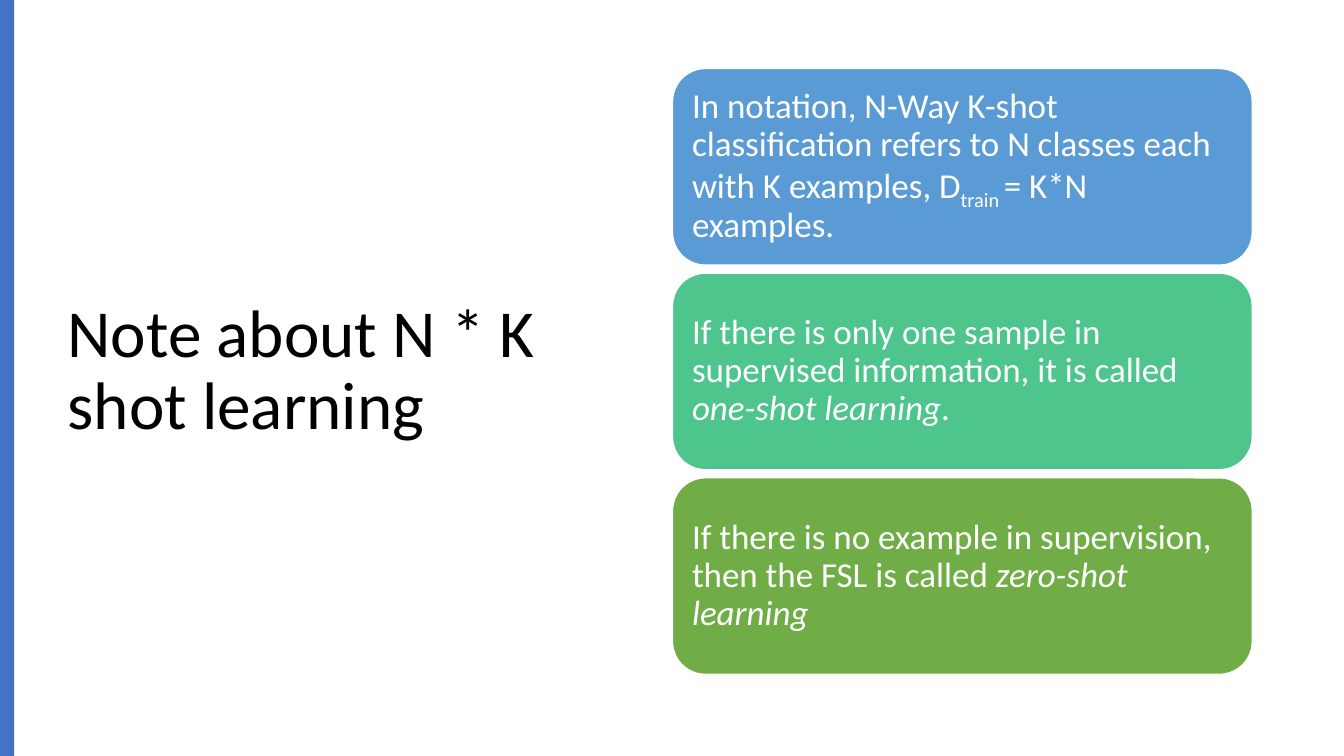
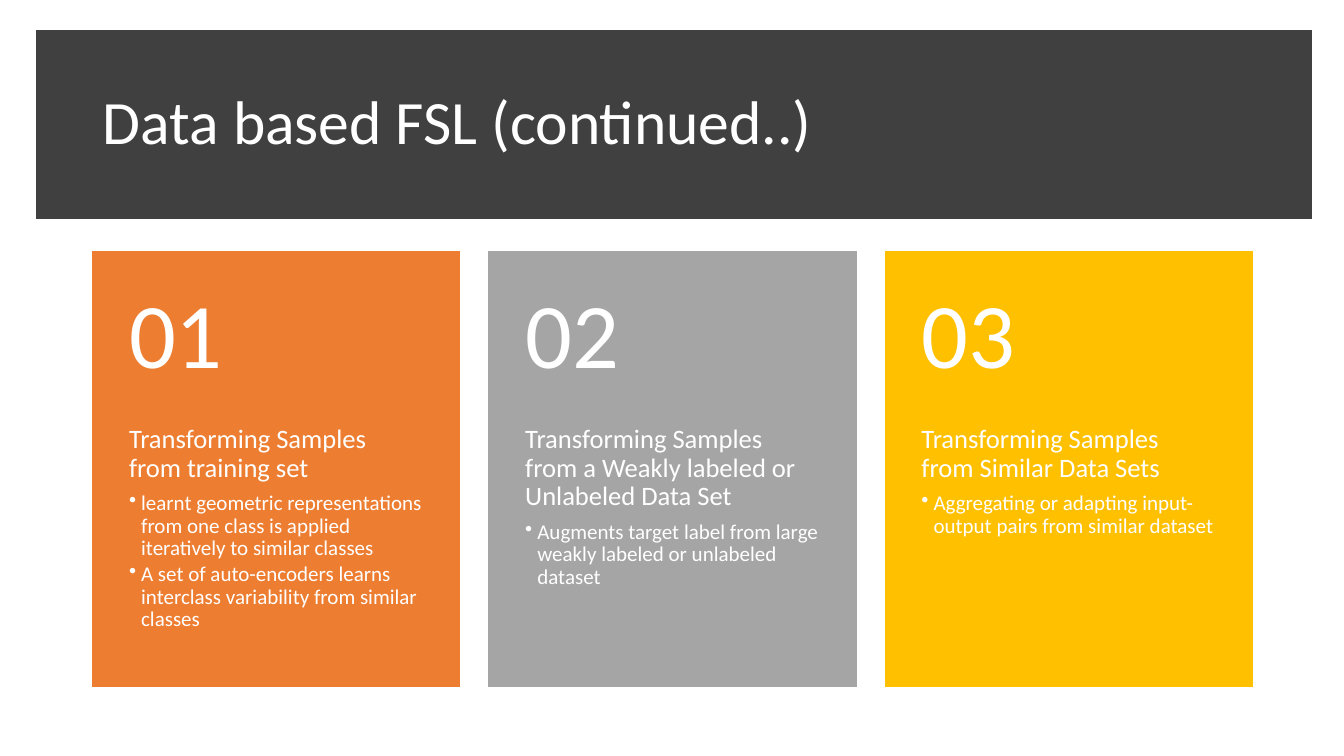
from lxml.etree import SubElement
from pptx import Presentation
from pptx.dml.color import RGBColor
from pptx.enum.shapes import MSO_SHAPE
from pptx.enum.text import MSO_ANCHOR, MSO_AUTO_SIZE, PP_ALIGN
from pptx.oxml.ns import qn
from pptx.util import Emu, Pt

PX = 9144  # 100 px to the inch
SLIDE_W, SLIDE_H = 1333, 750
FONT = "Calibri"
COLORS = {
    "white": "FFFFFF", "black": "000000", "bar": "4472C4", "band": "404040",
    "blue": "5B9BD5", "mint": "4DC58D", "green": "70AD47",
    "orange": "ED7D31", "gray": "A5A5A5", "gold": "FFC000",
}
ITALIC = {"italic": True}
SUBSCRIPT = {"baseline": -25000}

NOTES = [
    ("blue", [("In notation, N-Way K-shot classification refers to N classes "
               "each with K examples, D", {}),
              ("train ", SUBSCRIPT), ("= K*N examples.", {})]),
    ("mint", [("If there is only one sample in supervised information, "
               "it is called ", {}),
              ("one-shot learning", ITALIC), (".", {})]),
    ("green", [("If there is no example in supervision, then the FSL is called ", {}),
               ("zero-shot learning", ITALIC)]),
]
METHODS = [
    ("orange", "Transforming Samples from training set",
     ["learnt geometric representations from one class is applied "
      "iteratively to similar classes",
      "A set of auto-encoders learns interclass variability from similar classes"]),
    ("gray", "Transforming Samples from a Weakly labeled or Unlabeled Data Set",
     ["Augments target label from large weakly labeled or unlabeled dataset"]),
    ("gold", "Transforming Samples from Similar Data Sets",
     ["Aggregating or adapting input-output pairs from similar dataset"]),
]


def px(n):
    return Emu(n * PX)


def rgb(name):
    return RGBColor.from_string(COLORS[name])


def set_attrs(obj, values):
    for name, value in values.items():
        setattr(obj, name, value)


def setup_frame(tf, anchor, insets=(10, 5, 10, 5)):
    left, top, right, bottom = map(px, insets)
    set_attrs(tf, {
        "word_wrap": True, "auto_size": MSO_AUTO_SIZE.NONE,
        "vertical_anchor": anchor, "margin_left": left, "margin_top": top,
        "margin_right": right, "margin_bottom": bottom,
    })


def write(p, runs, size, color="white", after=0.0):
    """Fill a paragraph with (text, format) runs; after is a share of the size."""
    set_attrs(p, {"alignment": PP_ALIGN.LEFT, "line_spacing": 0.9,
                  "space_after": Pt(size * after)})
    for text, fmt in runs:
        r = p.add_run()
        r.text = text
        set_attrs(r.font, {"name": FONT, "size": Pt(size),
                           "italic": fmt.get("italic")})
        r.font.color.rgb = rgb(color)
        if "baseline" in fmt:
            r.font._element.set("baseline", str(fmt["baseline"]))


def add_bullet(p, indent):
    pPr = p._p.get_or_add_pPr()
    pPr.set("marL", str(px(indent)))
    pPr.set("indent", str(-px(indent)))
    SubElement(pPr, qn("a:buChar")).set("char", "•")


def add_panel(slide, box, fill, kind=MSO_SHAPE.RECTANGLE, line=None, width=1):
    sp = slide.shapes.add_shape(kind, *map(px, box))
    sp.shadow.inherit = False
    sp.fill.solid()
    sp.fill.fore_color.rgb = rgb(fill)
    if line is None:
        sp.line.fill.background()
    else:
        sp.line.color.rgb = rgb(line)
        sp.line.width = Pt(width)
        ln = sp._element.spPr.find(qn("a:ln"))
        SubElement(ln, qn("a:miter")).set("lim", "800000")
    return sp


def add_text(slide, box, anchor, insets):
    tf = slide.shapes.add_textbox(*map(px, box)).text_frame
    setup_frame(tf, anchor, insets)
    return tf


def add_titled_slide(prs, title, box, size, color):
    slide = prs.slides.add_slide(prs.slide_layouts[5])
    sp = slide.shapes.title
    set_attrs(sp, dict(zip(("left", "top", "width", "height"), map(px, box))))
    setup_frame(sp.text_frame, MSO_ANCHOR.MIDDLE)
    write(sp.text_frame.paragraphs[0], [(title, {})], size, color)
    return slide


def add_note(slide, box, fill, runs):
    sp = add_panel(slide, box, fill, MSO_SHAPE.ROUNDED_RECTANGLE, "white")
    setup_frame(sp.text_frame, MSO_ANCHOR.MIDDLE, (10, 10, 10, 10))
    write(sp.text_frame.paragraphs[0], runs, 25)


def add_method(slide, box, number, fill, heading, bullets):
    """Draw a coloured column with a large number, a heading and bullets."""
    left, top, width, height = box
    number_h = 172
    add_panel(slide, box, fill, line=fill)
    tf = add_text(slide, (left, top + number_h, width, height - number_h),
                  MSO_ANCHOR.TOP, (36, 0, 36, 36))
    write(tf.paragraphs[0], [(heading, {})], 19, after=0.35)
    for bullet in bullets:
        p = tf.add_paragraph()
        p.level = 1
        write(p, [(bullet, {})], 15, after=0.15)
        add_bullet(p, 12)
    tf = add_text(slide, (left, top, width, number_h),
                  MSO_ANCHOR.MIDDLE, (36, 18, 36, 18))
    write(tf.paragraphs[0], [(f"{number:02}", {})], 66)


def build_notes(prs):
    slide = add_titled_slide(prs, "Note about N * K shot learning",
                             (57, 68, 567, 602), 48, "black")
    add_panel(slide, (0, 0, 14, SLIDE_H), "bar")
    height, gap = 195, 8
    for i, (fill, runs) in enumerate(NOTES):
        add_note(slide, (667, 68 + i * (height + gap), 575, height), fill, runs)


def build_methods(prs):
    slide = add_titled_slide(prs, "Data based FSL (continued..)",
                             (92, 51, 1150, 145), 44, "white")
    band = add_panel(slide, (43, 37, 1251, 173), "band", line="band", width=10)
    slide.shapes.title._element.addprevious(band._element)
    width, gap = 364, 29
    for i, method in enumerate(METHODS):
        add_method(slide, (92 + i * (width + gap), 250, width, 431), i + 1, *method)


def main():
    prs = Presentation()
    prs.slide_width, prs.slide_height = px(SLIDE_W), px(SLIDE_H)
    build_notes(prs)
    build_methods(prs)
    prs.save("out.pptx")


if __name__ == "__main__":
    main()
